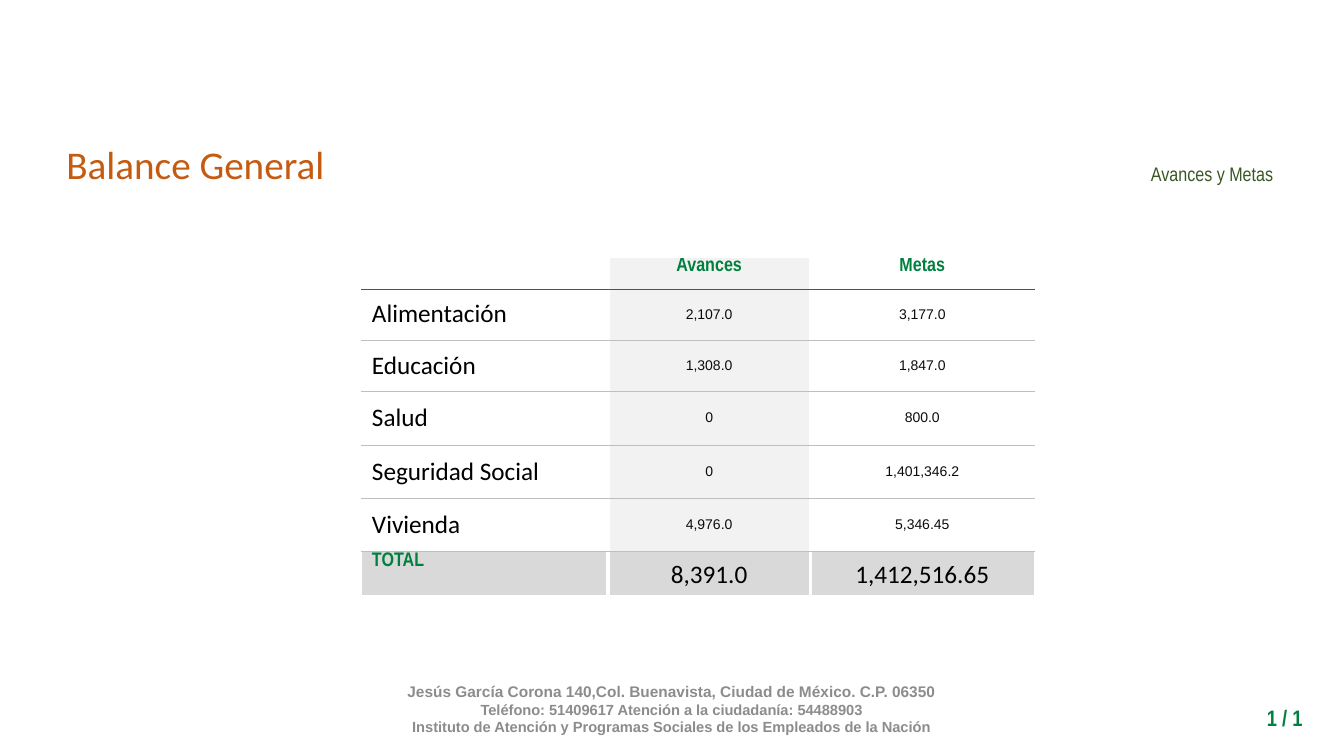
from dataclasses import dataclass

from lxml import etree
from pptx import Presentation
from pptx.dml.color import RGBColor
from pptx.enum.text import MSO_ANCHOR, PP_ALIGN
from pptx.oxml.ns import qn
from pptx.util import Pt

LEFT, CENTER, RIGHT = PP_ALIGN.LEFT, PP_ALIGN.CENTER, PP_ALIGN.RIGHT
TOP, MIDDLE = MSO_ANCHOR.TOP, MSO_ANCHOR.MIDDLE


@dataclass(frozen=True)
class Style:
    font: str
    size: float
    color: str
    bold: bool = False


@dataclass(frozen=True)
class Theme:
    title: Style = Style("Calibri", 28, "C55A11")
    subtitle: Style = Style("Arial Narrow", 14, "385723")
    heading: Style = Style("Arial Narrow", 14, "008040", True)
    label: Style = Style("Calibri", 18, "000000")
    value: Style = Style("Arial", 10, "0B0B0B")
    address: Style = Style("Arial", 11, "8C8C8C", True)
    contact: Style = Style("Arial", 10.5, "8C8C8C", True)
    page: Style = Style("Arial Narrow", 16, "008040", True)
    column_fill: str = "F2F2F2"
    total_fill: str = "D9D9D9"
    gap: tuple = ("FFFFFF", 3)
    header_rule: tuple = ("008040", 0.25)
    row_rule: tuple = ("BFBFBF", 0.5)


THEME = Theme()

ROWS = [
    ("", "Avances", "Metas"),
    ("Alimentación", "2,107.0", "3,177.0"),
    ("Educación", "1,308.0", "1,847.0"),
    ("Salud", "0", "800.0"),
    ("Seguridad Social", "0", "1,401,346.2"),
    ("Vivienda", "4,976.0", "5,346.45"),
    ("TOTAL", "8,391.0", "1,412,516.65"),
]
COL_WIDTHS = (175.7, 144.7, 159.8)
ROW_HEIGHTS = (22.3, 36.7, 36.7, 38.2, 38.2, 38.2, 32.4)

FOOTER = [
    ("Jesús García Corona 140,Col. Buenavista, Ciudad de México. C.P. 06350", THEME.address),
    ("Teléfono: 51409617 Atención a la ciudadanía: 54488903", THEME.contact),
    ("Instituto de Atención y Programas Sociales de los Empleados de la Nación", THEME.contact),
]


def style_paragraph(p, style, align):
    p.alignment = align
    for r in p.runs:
        r.font.name = style.font
        r.font.size = Pt(style.size)
        r.font.bold = style.bold
        r.font.color.rgb = RGBColor.from_string(style.color)


def add_text(s, box, lines, align=LEFT, anchor=TOP, wrap=True):
    """Add a text box holding one paragraph per (text, style) pair."""
    tf = s.shapes.add_textbox(*map(Pt, box)).text_frame
    tf.word_wrap = wrap
    tf.vertical_anchor = anchor
    tf.text = "\n".join(text for text, _ in lines)
    for p, (_, style) in zip(tf.paragraphs, lines):
        style_paragraph(p, style, align)
    return tf


def set_borders(cell, borders):
    """Draw (color, width) borders, keyed by side in the order L, R, T, B."""
    tc_pr = cell._tc.get_or_add_tcPr()
    for side, (color, width) in borders.items():
        ln = etree.SubElement(tc_pr, qn(f"a:ln{side}"), w=str(Pt(width)))
        fill = etree.SubElement(ln, qn("a:solidFill"))
        etree.SubElement(fill, qn("a:srgbClr"), val=color)


def cell_borders(row, col):
    last_row, last_col = len(ROWS) - 1, len(COL_WIDTHS) - 1
    borders = {}
    if col > 0:
        borders["L"] = THEME.gap
    if col < last_col:
        borders["R"] = THEME.gap
    if row > 0:
        borders["T"] = THEME.header_rule if row == 1 else THEME.row_rule
    rules = {0: THEME.header_rule, last_row: THEME.gap}
    borders["B"] = rules.get(row, THEME.row_rule)
    return borders


def format_cell(cell, row, col):
    is_total = row == len(ROWS) - 1
    is_heading = row == 0 or (is_total and col == 0)
    set_borders(cell, cell_borders(row, col))
    if is_total or col == 1:
        cell.fill.solid()
        color = THEME.total_fill if is_total else THEME.column_fill
        cell.fill.fore_color.rgb = RGBColor.from_string(color)
    else:
        cell.fill.background()
    cell.vertical_anchor = TOP if is_heading else MIDDLE
    cell.margin_top = cell.margin_bottom = 0
    if is_heading:
        style = THEME.heading
    else:
        style = THEME.label if is_total or col == 0 else THEME.value
    style_paragraph(cell.text_frame.paragraphs[0], style, CENTER if col else LEFT)


def add_balance_table(s, left, top):
    frame = s.shapes.add_table(len(ROWS), len(COL_WIDTHS), Pt(left), Pt(top),
                               Pt(sum(COL_WIDTHS)), Pt(sum(ROW_HEIGHTS)))
    table = frame.table
    table.first_row = table.horz_banding = False
    for column, width in zip(table.columns, COL_WIDTHS):
        column.width = Pt(width)
    for i, (values, height) in enumerate(zip(ROWS, ROW_HEIGHTS)):
        table.rows[i].height = Pt(height)
        for j, value in enumerate(values):
            cell = table.cell(i, j)
            cell.text = value
            format_cell(cell, i, j)


def add_header(s, left, top, width):
    add_text(s, (left, top + 8, 201, 41), [("Balance General", THEME.title)], wrap=False)
    tf = add_text(s, (left + width - 435, top, 435, 68.4),
                  [("Avances y Metas", THEME.subtitle)], RIGHT, MIDDLE)
    tf.paragraphs[0].line_spacing = 1.15


def add_footer(s, left, top, width):
    add_text(s, (left, top, width, 28.8), FOOTER, CENTER, MIDDLE)
    add_text(s, (left + width + 94.4, top + 7.7, 90.7, 26.6), [("1 / 1", THEME.page)], RIGHT)


def main():
    prs = Presentation()
    prs.slide_width, prs.slide_height = Pt(960), Pt(540)
    s = prs.slides.add_slide(prs.slide_layouts[6])
    add_header(s, 40.3, 88.5, 876.3)
    add_balance_table(s, 258.5, 183.9)
    add_footer(s, 207.4, 492, 545)
    prs.save("out.pptx")


if __name__ == "__main__":
    main()
